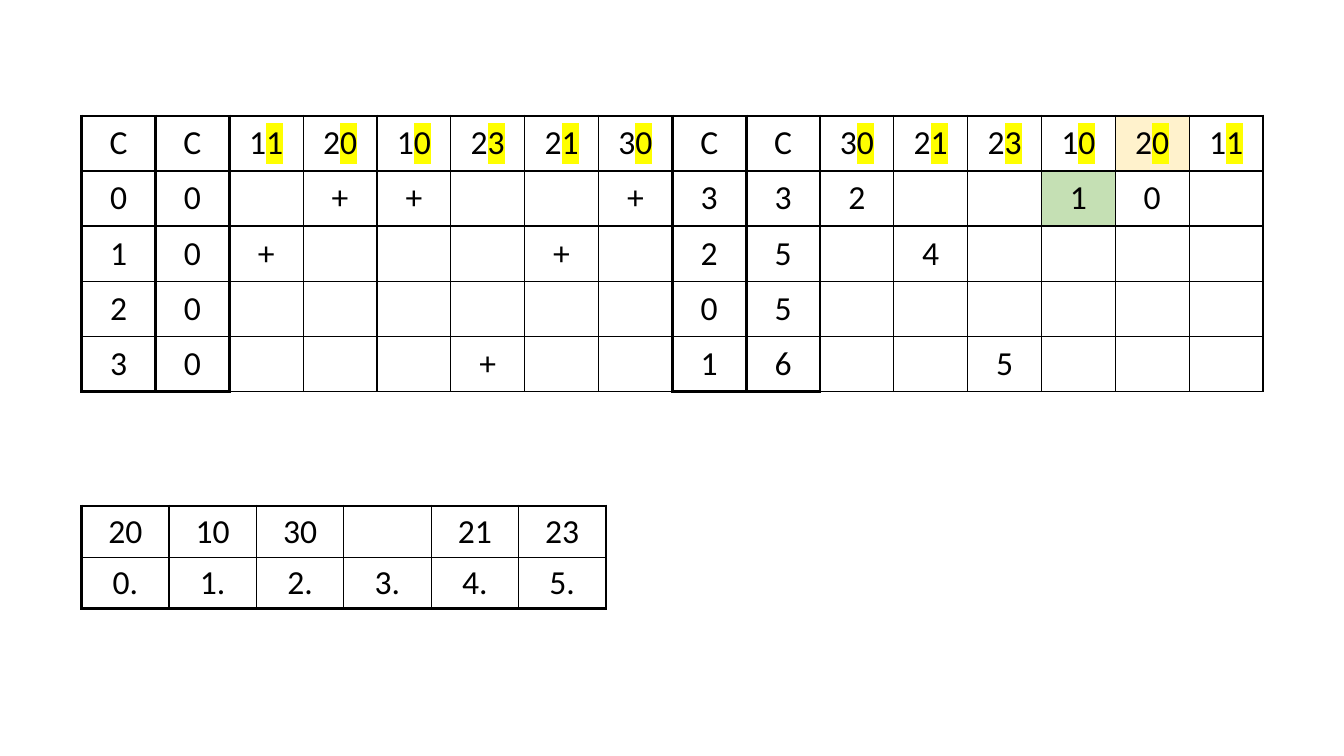
from dataclasses import dataclass, field

from lxml import etree
from pptx import Presentation
from pptx.dml.color import RGBColor
from pptx.enum import text
from pptx.oxml.ns import qn
from pptx.util import Inches, Pt


@dataclass(frozen=True)
class Theme:
    font: str = "Calibri"
    size: float = 24
    ink: str = "000000"
    marker: str = "FFFF00"
    cream: str = "FFF2CC"
    green: str = "C5E0B4"
    thin: float = 1
    thick: float = 2.25


THEME = Theme()
BLANK = "-"


@dataclass(frozen=True)
class Grid:
    """A table; thick lines are numbered from the left and from the top."""
    rows: list[str]
    left: float
    top: float
    width: float
    height: float
    margins: tuple[float, float]
    thick_columns: set[int]
    thick_rows: set[int]
    mark_header: bool = False
    fills: dict[tuple[int, int], str] = field(default_factory=dict)
    thick_edges: set[tuple[int, int, str]] = field(default_factory=set)


HASHING = Grid(
    rows=[
        "C C 11 20 10 23 21 30 C C 30 21 23 10 20 11",
        "0 0 - + + - - + 3 3 2 - - 1 0 -",
        "1 0 + - - - + - 2 5 - 4 - - - -",
        "2 0 - - - - - - 0 5 - - - - - -",
        "3 0 - - - + - - 1 6 - - 5 - - -",
    ],
    left=0.81, top=1.15, width=11.72, height=2.68, margins=(0.13, 0.07),
    thick_columns={0, 1, 2, 8, 9, 10}, thick_rows={0, 1},
    mark_header=True,
    fills={(0, 14): THEME.cream, (1, 13): THEME.green},
    thick_edges={(0, 15, "R")} | {(4, column, "B") for column in (0, 1, 8, 9)},
)
RESULT = Grid(
    rows=["20 10 30 - 21 23", "0. 1. 2. 3. 4. 5."],
    left=0.81, top=5.02, width=5.2, height=1, margins=(0.1, 0.05),
    thick_columns={0, 6}, thick_rows={0, 2},
)


def add_run(p, content: str, marked: bool = False) -> None:
    r = p.add_run()
    r.text = content
    r.font.name = THEME.font
    r.font.size = Pt(THEME.size)
    r.font.color.rgb = RGBColor.from_string(THEME.ink)
    if marked:
        highlight = etree.Element(qn("a:highlight"))
        etree.SubElement(highlight, qn("a:srgbClr"), val=THEME.marker)
        r.font._element.find(qn("a:solidFill")).addnext(highlight)


def draw_borders(cell, grid: Grid, row: int, column: int) -> None:
    thick = {
        "L": column in grid.thick_columns,
        "R": column + 1 in grid.thick_columns,
        "T": row in grid.thick_rows,
        "B": row + 1 in grid.thick_rows,
    }
    properties = cell._tc.get_or_add_tcPr()
    for side, is_thick in thick.items():
        is_thick = is_thick or (row, column, side) in grid.thick_edges
        width = Pt(THEME.thick if is_thick else THEME.thin)
        line = etree.SubElement(properties, qn(f"a:ln{side}"), w=str(int(width)))
        fill = etree.SubElement(line, qn("a:solidFill"))
        etree.SubElement(fill, qn("a:srgbClr"), val=THEME.ink)


def fill_cell(cell, grid: Grid, row: int, column: int, content: str) -> None:
    cell.vertical_anchor = text.MSO_ANCHOR.MIDDLE
    cell.margin_left = cell.margin_right = Inches(grid.margins[0])
    cell.margin_top = cell.margin_bottom = Inches(grid.margins[1])
    draw_borders(cell, grid, row, column)
    if (row, column) in grid.fills:
        cell.fill.solid()
        cell.fill.fore_color.rgb = RGBColor.from_string(grid.fills[row, column])
    else:
        cell.fill.background()
    if content == BLANK:
        return
    p = cell.text_frame.paragraphs[0]
    p.alignment = text.PP_ALIGN.CENTER
    if grid.mark_header and row == 0 and len(content) == 2:
        add_run(p, content[0])
        add_run(p, content[1], marked=True)
    else:
        add_run(p, content)


def add_grid(slide, grid: Grid) -> None:
    values = [line.split() for line in grid.rows]
    row_count, column_count = len(values), len(values[0])
    table = slide.shapes.add_table(
        row_count, column_count, Inches(grid.left), Inches(grid.top),
        Inches(grid.width), Inches(grid.height)).table
    table.first_row = table.horz_banding = False
    for row, line in enumerate(values):
        for column, content in enumerate(line):
            fill_cell(table.cell(row, column), grid, row, column, content)


def main() -> None:
    prs = Presentation()
    prs.slide_width, prs.slide_height = Inches(13.33), Inches(7.5)
    slide = prs.slides.add_slide(prs.slide_layouts[6])
    for grid in (HASHING, RESULT):
        add_grid(slide, grid)
    prs.save("out.pptx")


if __name__ == "__main__":
    main()
